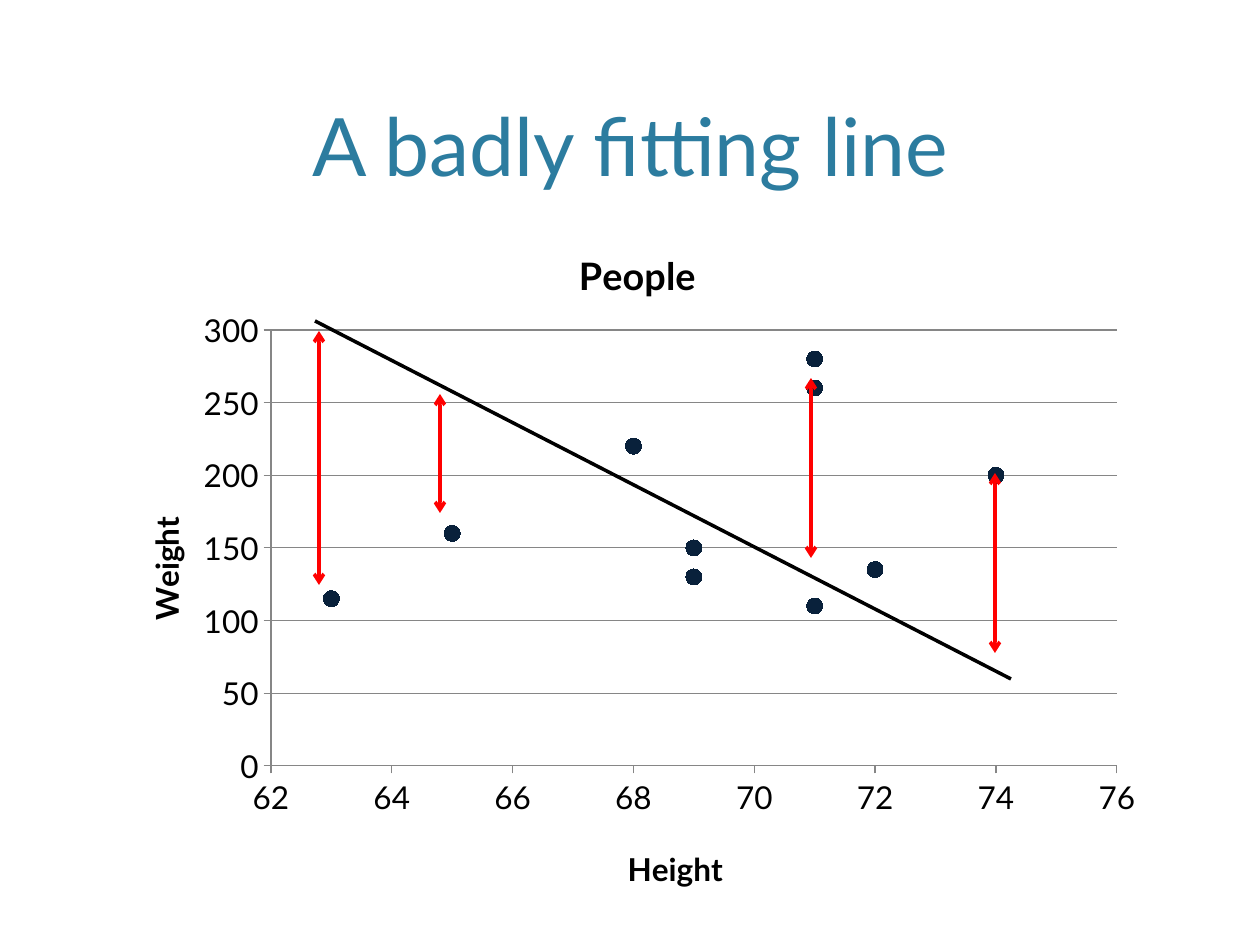
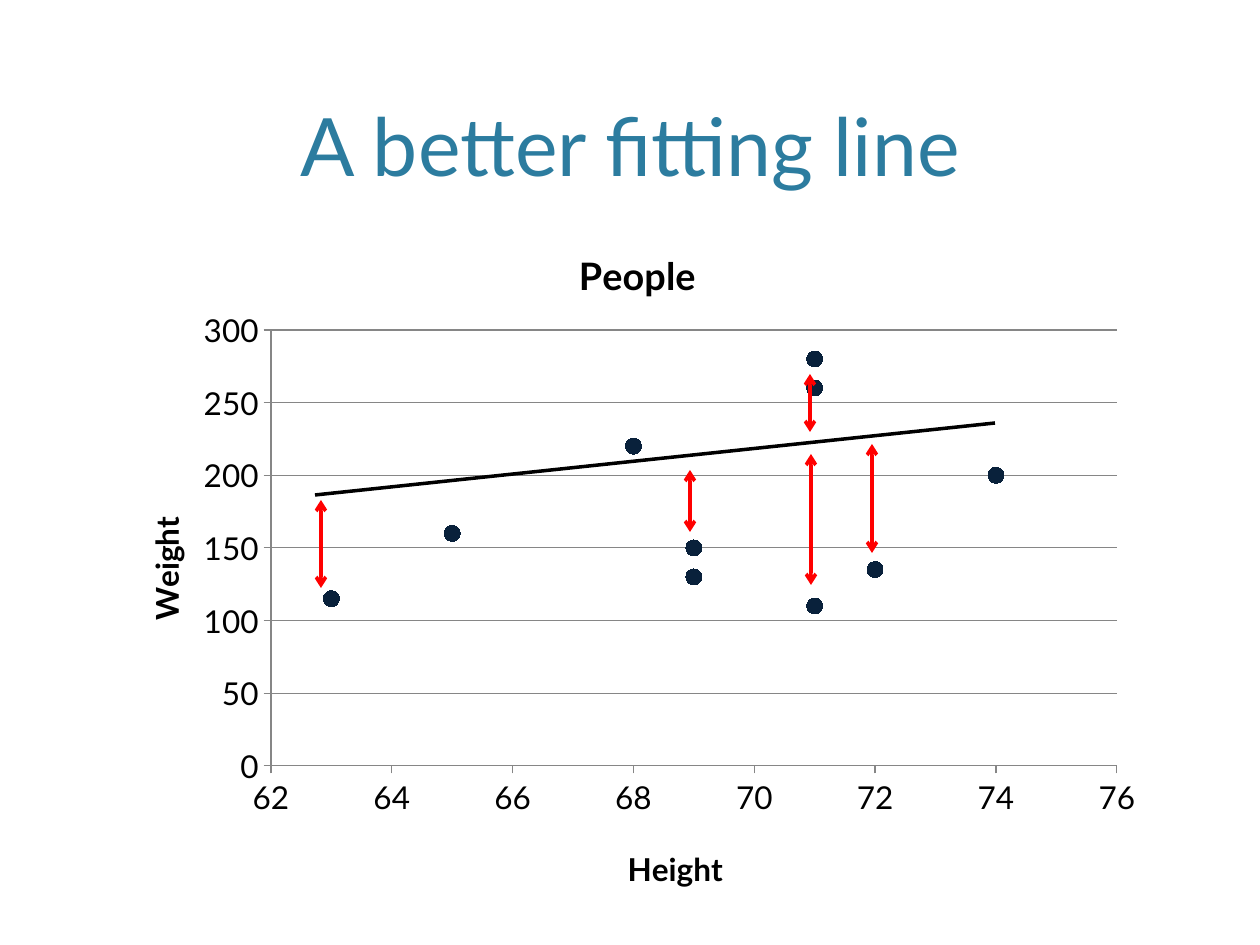
from dataclasses import dataclass
from lxml.etree import SubElement
from pptx import Presentation
from pptx.chart.data import XyChartData
from pptx.dml.color import RGBColor
from pptx.enum.chart import XL_CHART_TYPE, XL_MARKER_STYLE, XL_TICK_MARK
from pptx.enum.shapes import MSO_CONNECTOR
from pptx.enum.text import MSO_ANCHOR, MSO_AUTO_SIZE, PP_ALIGN
from pptx.oxml.ns import qn
from pptx.util import Pt


@dataclass
class Theme:
    font: str = "Lato"
    title: str = "2C7C9F"
    dot: str = "09213B"
    ink: str = "000000"
    grid: str = "868686"
    gap: str = "FF0000"
    head: float = 46
    name: float = 21.6
    body: float = 18


theme = Theme()
PX = 914400 / 126  # EMU in one px
TITLE = (76, 15, 1108, 184)
CHART = (103, 208, 1053, 701)
PLOT = (271, 330, 846, 436)
LABELS = ((572, 241), (622, 841), (138, 511))  # chart, height, weight

people = [(74, 200), (68, 220), (71, 260), (63, 115), (69, 130),
          (65, 160), (69, 150), (71, 110), (72, 135), (71, 280)]

# Each slide: title, fitted line, and gaps as (x, bottom, top)
slides = [
    ("A badly fitting line", (315, 321, 1011, 679),
     [(319, 585, 331), (440, 513, 394), (811, 558, 378), (995, 653, 473)]),
    ("A better fitting line", (315, 495, 995, 423),
     [(321, 588, 500), (690, 532, 470), (811, 585, 454),
      (872, 553, 444), (810, 432, 374)]),
]


def write(frame, text, size=theme.body, color=theme.ink, bold=False):
    para = frame.paragraphs[0]
    para.alignment = PP_ALIGN.CENTER
    run = para.add_run()
    run.text = text
    font = run.font
    font.name, font.size, font.bold = theme.font, Pt(size), bold
    font.color.rgb = RGBColor.from_string(color)


def place(node, index, box, inner=False):
    """Pin a chart part to a box given in slide px."""
    for old in node.findall(qn("c:layout")):
        node.remove(old)
    layout = SubElement(node, qn("c:layout"))
    node.insert(index, layout)
    manual = SubElement(layout, qn("c:manualLayout"))
    left, top, wide, high = CHART
    parts = [("xMode", "edge"), ("yMode", "edge"),
             ("x", (box[0] - left) / wide), ("y", (box[1] - top) / high)]
    if inner:
        parts.insert(0, ("layoutTarget", "inner"))
        parts += [("w", box[2] / wide), ("h", box[3] / high)]
    for tag, val in parts:
        SubElement(manual, qn("c:" + tag)).set("val", str(val))


deck = Presentation()
deck.slide_width, deck.slide_height = round(1260 * PX), round(945 * PX)

for text, fit, gaps in slides:
    slide = deck.slides.add_slide(deck.slide_layouts[5])

    # Title
    title = slide.shapes.title
    title.left, title.top, title.width, title.height = [round(v * PX) for v in TITLE]
    frame = title.text_frame
    frame.auto_size = MSO_AUTO_SIZE.NONE
    frame.vertical_anchor = MSO_ANCHOR.BOTTOM
    write(frame, text, size=theme.head, color=theme.title)

    # Scatter chart
    data = XyChartData()
    series = data.add_series("People")
    for height, weight in people:
        series.add_data_point(height, weight)
    chart = slide.shapes.add_chart(
        XL_CHART_TYPE.XY_SCATTER, *[round(v * PX) for v in CHART], data).chart
    chart.has_legend = False
    chart.font.name, chart.font.size = theme.font, Pt(theme.body)
    chart.font.color.rgb = RGBColor.from_string(theme.ink)
    chart.has_title = True
    write(chart.chart_title.text_frame, "People", size=theme.name, bold=True)

    # Dots
    plot = chart.plots[0]
    plot.vary_by_categories = False
    dots = plot.series[0]
    dots.smooth = False
    dots.format.line.fill.background()
    dots.marker.style, dots.marker.size = XL_MARKER_STYLE.CIRCLE, 9
    for fill in (dots.marker.format.fill, dots.marker.format.line.fill):
        fill.solid()
        fill.fore_color.rgb = RGBColor.from_string(theme.dot)

    # Axes
    for axis, name, low, high, step in (
            (chart.category_axis, "Height", 62, 76, 2),
            (chart.value_axis, "Weight", 0, 300, 50)):
        axis.minimum_scale, axis.maximum_scale = low, high
        axis.major_unit = step
        axis.major_tick_mark = XL_TICK_MARK.OUTSIDE
        axis.minor_tick_mark = XL_TICK_MARK.NONE
        axis.has_major_gridlines = name == "Weight"
        lines = [axis.format.line]
        if axis.has_major_gridlines:
            lines.append(axis.major_gridlines.format.line)
        for line in lines:
            line.width = Pt(0.75)
            line.color.rgb = RGBColor.from_string(theme.grid)
        axis.has_title = True
        write(axis.axis_title.text_frame, name, bold=True)
    turn = chart.value_axis.axis_title.text_frame._txBody.find(qn("a:bodyPr"))
    turn.set("rot", "-5400000")
    turn.set("vert", "horz")

    # Chart layout
    root = chart.element
    place(root.find(".//" + qn("c:plotArea")), 0, PLOT, inner=True)
    for node, spot in zip(root.findall(".//" + qn("c:title")), LABELS):
        place(node, 1, spot)

    # Fitted line, then the gaps to it
    strokes = [(fit, theme.ink)]
    strokes += [((x, low, x, top), theme.gap) for x, low, top in gaps]
    for ends, color in strokes:
        stroke = slide.shapes.add_connector(
            MSO_CONNECTOR.STRAIGHT, *[round(v * PX) for v in ends])
        stroke.line.width = Pt(2)
        stroke.line.color.rgb = RGBColor.from_string(color)
        props = stroke.element.spPr
        if color == theme.gap:
            for tip in ("a:headEnd", "a:tailEnd"):
                SubElement(props.find(qn("a:ln")), qn(tip)).set("type", "arrow")
        SubElement(props, qn("a:effectLst"))

deck.save("out.pptx")
